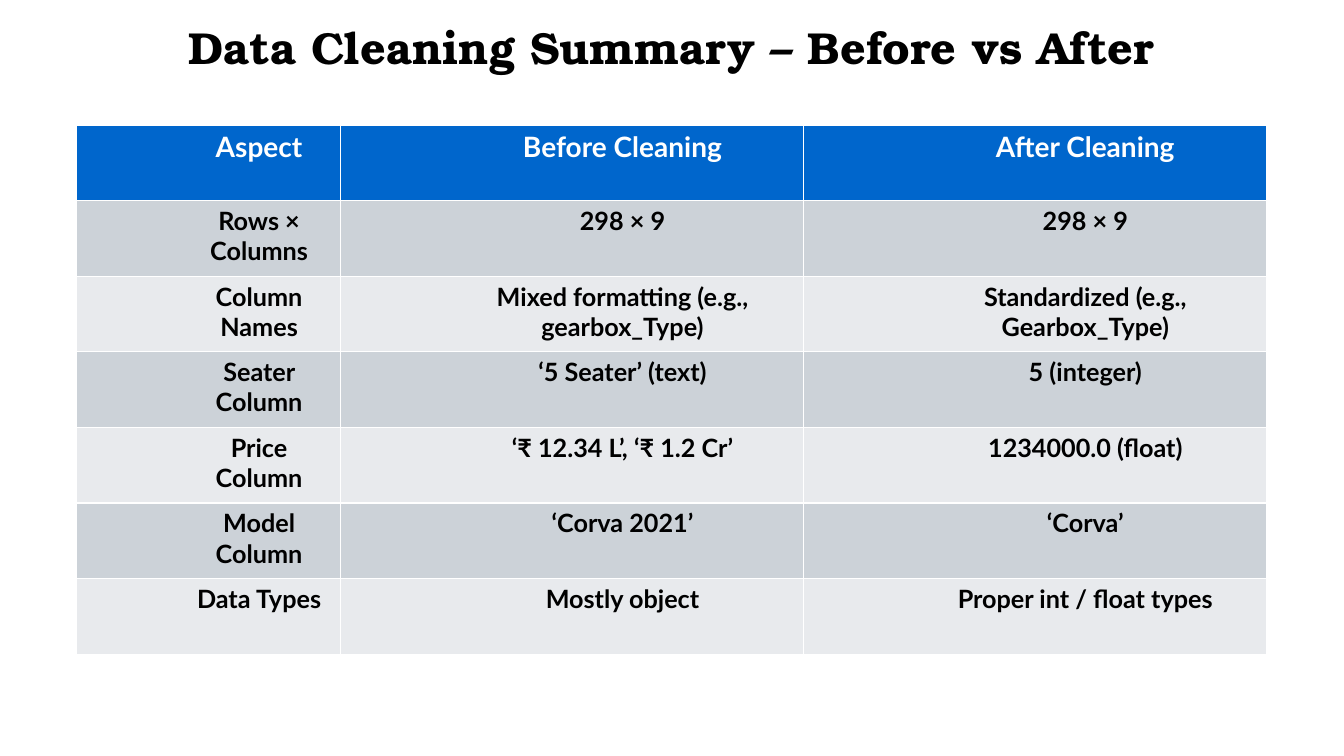
from lxml import etree
from pptx import Presentation
from pptx.dml.color import RGBColor
from pptx.enum.text import MSO_ANCHOR, PP_ALIGN
from pptx.oxml.ns import qn
from pptx.util import Inches, Pt

# Content
TITLE = "Data Cleaning Summary – Before vs After"
ROWS = [
    ("Aspect", "Before Cleaning", "After Cleaning"),
    ("Rows × Columns", "298 × 9", "298 × 9"),
    ("Column Names", "Mixed formatting (e.g., gearbox_Type)", "Standardized (e.g., Gearbox_Type)"),
    ("Seater Column", "‘5 Seater’ (text)", "5 (integer)"),
    ("Price Column", "‘₹ 12.34 L’, ‘₹ 1.2 Cr’", "1234000.0 (float)"),
    ("Model Column", "‘Corva 2021’", "‘Corva’"),
    ("Data Types", "Mostly object", "Proper int / float types"),
]

# Look
TITLE_FONT, TABLE_FONT = "TeX Gyre Bonum", "Lato"
BLACK = RGBColor(0x00, 0x00, 0x00)
WHITE = RGBColor(0xFF, 0xFF, 0xFF)
HEADER_BLUE = RGBColor(0x00, 0x66, 0xCC)
BANDS = (RGBColor(0xE8, 0xEA, 0xED), RGBColor(0xCC, 0xD2, 0xD8))

# Layout in inches
LEFT, WIDTH = 0.76, 11.81
TITLE_TOP, TITLE_HEIGHT = 0.18, 0.64
TABLE_TOP, ROW_HEIGHT = 1.24, 0.75
COLUMN_WIDTHS = (2.62, 4.59, 4.59)


def write(paragraph, text, font_name, size, color):
    paragraph.alignment = PP_ALIGN.CENTER
    run = paragraph.add_run()
    run.text = text
    run.font.name = font_name
    run.font.size = Pt(size)
    run.font.bold = True
    run.font.color.rgb = color


def add_borders(cell, color, width):
    properties = cell._tc.get_or_add_tcPr()
    for position, side in enumerate(("lnL", "lnR", "lnT", "lnB")):
        line = etree.Element(qn(f"a:{side}"), w=str(Pt(width)))
        fill = etree.SubElement(line, qn("a:solidFill"))
        etree.SubElement(fill, qn("a:srgbClr"), val=str(color))
        properties.insert(position, line)


presentation = Presentation()
presentation.slide_width = Inches(13.33)
presentation.slide_height = Inches(7.5)
slide = presentation.slides.add_slide(presentation.slide_layouts[5])

# Title
title = slide.shapes.title
title.left, title.top = Inches(LEFT), Inches(TITLE_TOP)
title.width, title.height = Inches(WIDTH), Inches(TITLE_HEIGHT)
title.text_frame.vertical_anchor = MSO_ANCHOR.MIDDLE
title_paragraph = title.text_frame.paragraphs[0]
title_paragraph.line_spacing = 0.9
write(title_paragraph, TITLE, TITLE_FONT, 32, BLACK)

# Comparison table
table = slide.shapes.add_table(
    len(ROWS), len(COLUMN_WIDTHS), Inches(LEFT), Inches(TABLE_TOP),
    Inches(sum(COLUMN_WIDTHS)), Inches(ROW_HEIGHT * len(ROWS))).table
for column, width in zip(table.columns, COLUMN_WIDTHS):
    column.width = Inches(width)

for row_index, texts in enumerate(ROWS):
    table.rows[row_index].height = Inches(ROW_HEIGHT)
    is_header = row_index == 0
    for column_index, text in enumerate(texts):
        cell = table.cell(row_index, column_index)
        cell.fill.solid()
        cell.fill.fore_color.rgb = HEADER_BLUE if is_header else BANDS[row_index % 2]
        add_borders(cell, WHITE, 1)
        paragraph = cell.text_frame.paragraphs[0]
        paragraph.level = 2
        write(paragraph, text, TABLE_FONT, 20 if is_header else 18,
              WHITE if is_header else BLACK)
        # Left indent of one inch
        indent = paragraph._p.get_or_add_pPr()
        indent.set("marL", str(Inches(1)))
        indent.set("indent", "0")

presentation.save("out.pptx")
